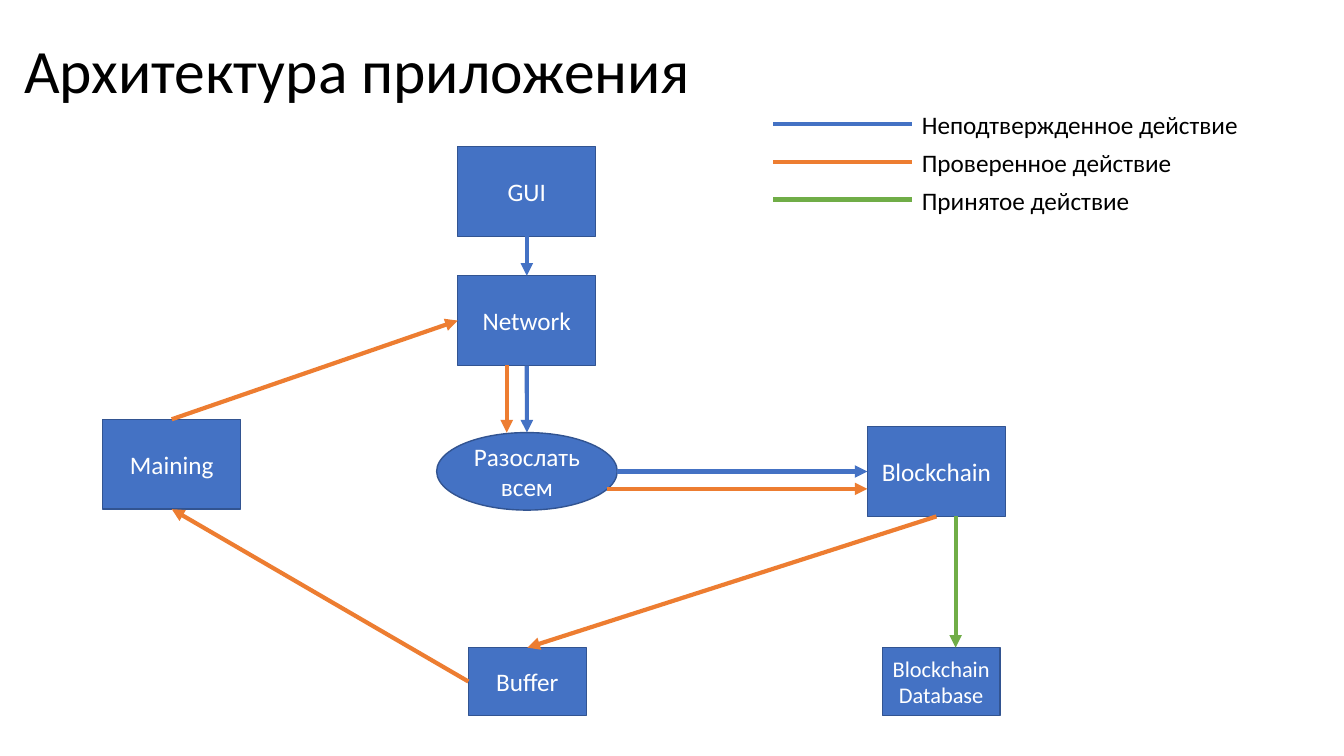
import pptx
import pptx.util
import pptx.dml.color
import pptx.enum.dml
import pptx.enum.shapes
import pptx.enum.text
import pptx.oxml
import pptx.oxml.ns

Pt = pptx.util.Pt
SHAPE = pptx.enum.shapes.MSO_SHAPE
ALIGN = pptx.enum.text.PP_ALIGN
MIDDLE = pptx.enum.text.MSO_ANCHOR.MIDDLE
TOP, LEFT, BOTTOM, RIGHT = range(4)

BLUE, ORANGE, GREEN = "4472C4", "ED7D31", "70AD47"
EDGE, WHITE, BLACK = "325491", "FFFFFF", "000000"
LEGEND = [
    ("Неподтвержденное действие", BLUE),
    ("Проверенное действие", ORANGE),
    ("Принятое действие", GREEN),
]


def paint(target, color):
    """Give a fill or a font colour a solid hex colour."""
    if hasattr(target, "solid"):
        target.solid()
        target = target.fore_color
    target.rgb = pptx.dml.color.RGBColor.from_string(color)


def write(frame, text, size, color, align):
    frame.text = text
    frame.word_wrap = True
    for para in frame.paragraphs:
        para.alignment = align
        for run in para.runs:
            run.font.name = "Calibri"
            run.font.size = Pt(size)
            paint(run.font.color, color)


def add_title(slide, text):
    title = slide.shapes.title
    title.left, title.top = Pt(10), Pt(0)
    title.width, title.height = Pt(828), Pt(104.4)
    frame = title.text_frame
    write(frame, text, 44, BLACK, ALIGN.LEFT)
    frame.vertical_anchor = MIDDLE
    frame.paragraphs[0].line_spacing = 0.9


def add_node(slide, text, left, top, width=98.6, height=64.2,
             kind=SHAPE.RECTANGLE, size=18):
    node = slide.shapes.add_shape(kind, Pt(left), Pt(top), Pt(width), Pt(height))
    node.shadow.inherit = False
    paint(node.fill, BLUE)
    paint(node.line.fill, EDGE)
    node.line.width = Pt(1)
    write(node.text_frame, text, size, WHITE, ALIGN.CENTER)
    node.text_frame.vertical_anchor = MIDDLE
    return node


def add_line(slide, color, start=(0, 0), end=(0, 0)):
    kind = pptx.enum.shapes.MSO_CONNECTOR.STRAIGHT
    line = slide.shapes.add_connector(kind, *map(Pt, (*start, *end)))
    paint(line.line.fill, color)
    line.line.width = Pt(3)
    props = line._element.spPr
    props.append(pptx.oxml.parse_xml(
        "<a:effectLst %s/>" % pptx.oxml.ns.nsdecls("a")))
    return line


def add_arrow(slide, color, start=(0, 0), end=(0, 0)):
    arrow = add_line(slide, color, start, end)
    arrow.line._get_or_add_ln().append(pptx.oxml.parse_xml(
        '<a:tailEnd %s type="triangle"/>' % pptx.oxml.ns.nsdecls("a")))
    return arrow


def join(slide, color, source, out, target, into):
    """Draw an arrow between the side middles of two nodes."""
    arrow = add_arrow(slide, color)
    arrow.begin_connect(source, out)
    arrow.end_connect(target, into)


def add_legend(slide):
    for row, (text, color) in enumerate(LEGEND):
        y = 88.5 + 27 * row
        add_line(slide, color, (552.4, y), (651.4, y))
        label = slide.shapes.add_textbox(Pt(651.4), Pt(y - 14), Pt(242.6), Pt(29))
        write(label.text_frame, text, 18, BLACK, ALIGN.LEFT)
        label.text_frame.auto_size = pptx.enum.text.MSO_AUTO_SIZE.SHAPE_TO_FIT_TEXT


def main():
    deck = pptx.Presentation()
    deck.slide_width, deck.slide_height = Pt(960), Pt(540)
    slide = deck.slides.add_slide(deck.slide_layouts[5])
    add_title(slide, "Архитектура приложения")

    gui = add_node(slide, "GUI", 327, 104.6)
    network = add_node(slide, "Network", 327, 196.9)
    chain = add_node(slide, "Blockchain", 619.6, 304.7)
    mining = add_node(slide, "Maining", 73.4, 299.5)
    cast = add_node(slide, "Разослать всем", 311.9, 309, 129, 55.4, SHAPE.OVAL)
    buffer = add_node(slide, "Buffer", 334.6, 462.6, 84.2, 48.4)
    add_node(slide, "Blockchain\vDatabase", 630.2, 462.6, 84.2, 48.4, size=16)

    join(slide, BLUE, gui, BOTTOM, network, TOP)
    join(slide, BLUE, network, BOTTOM, cast, TOP)
    join(slide, ORANGE, chain, BOTTOM, buffer, TOP)
    join(slide, ORANGE, buffer, LEFT, mining, BOTTOM)
    join(slide, ORANGE, mining, TOP, network, LEFT)

    spread = add_arrow(slide, BLUE, (440.9, 336.8), (619.6, 336.8))
    spread.end_connect(chain, LEFT)
    add_arrow(slide, ORANGE, (362, 261), (362, 309))
    add_arrow(slide, ORANGE, (433.4, 349.2), (619.6, 349.2))
    add_arrow(slide, GREEN, (682.6, 368.9), (682.6, 462.6))

    add_legend(slide)
    deck.save("out.pptx")


if __name__ == "__main__":
    main()
